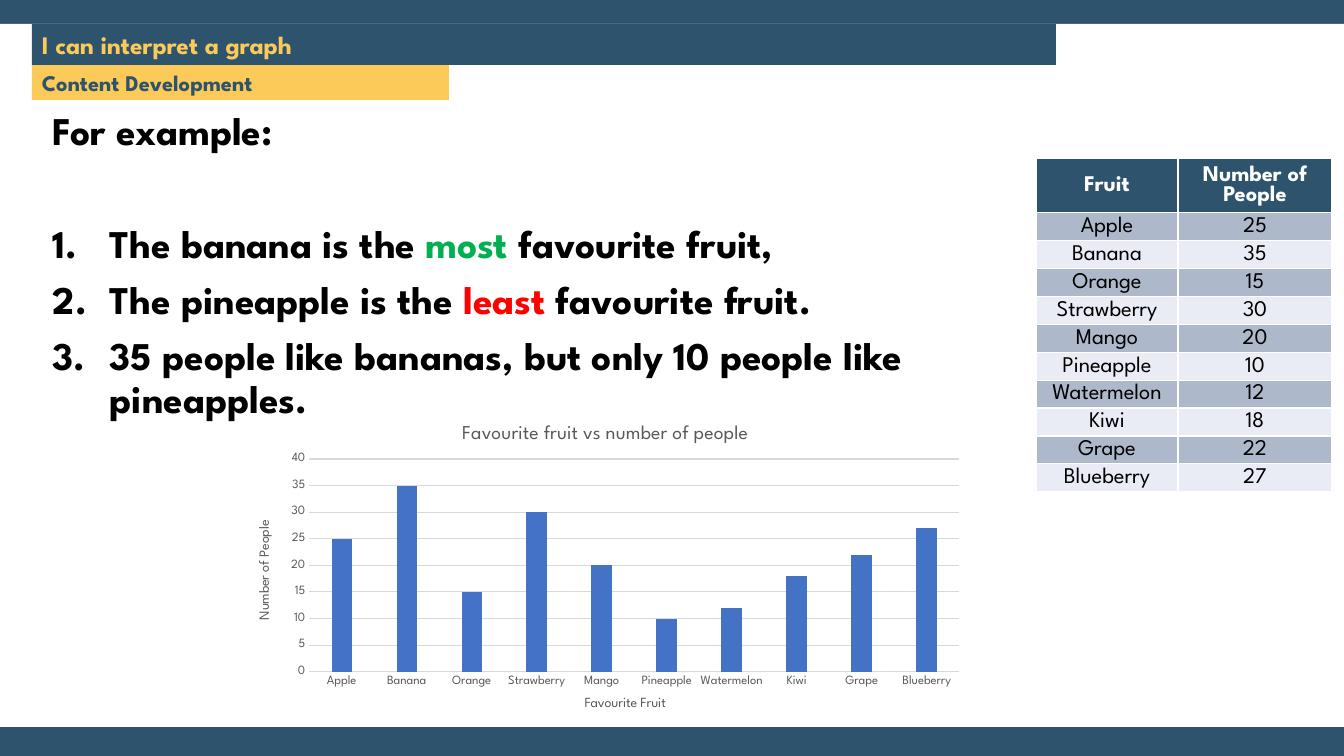
import pptx
import pptx.util
import pptx.chart.data
import pptx.dml.color
import pptx.enum.chart
import pptx.enum.shapes
import pptx.enum.text
import pptx.oxml
import pptx.oxml.ns
from lxml import etree

# Content
FRUIT_COUNTS = [
    ("Apple", 25), ("Banana", 35), ("Orange", 15), ("Strawberry", 30), ("Mango", 20),
    ("Pineapple", 10), ("Watermelon", 12), ("Kiwi", 18), ("Grape", 22), ("Blueberry", 27),
]
TABLE_HEADER = ("Fruit", "Number of People")
LESSON_GOAL = "I can interpret a graph"
LESSON_STAGE = "Content Development"
EXAMPLE_HEADING = "For example:"
CHART_TITLE = "Favourite fruit vs number of people"
FRUIT_AXIS_TITLE = "Favourite Fruit"
PEOPLE_AXIS_TITLE = "Number of People"

FONT = "League Spartan"
NAVY, YELLOW, WHITE, BLACK = "2E546D", "FBCA58", "FFFFFF", "000000"
GREEN, RED, BLUE = "00B050", "FF0000", "4472C4"
GREY_TEXT, GREY_LINE = "595959", "D9D9D9"
BANDS = ("ADB9CA", "E9EBF5")

FINDINGS = [
    [("The banana is the ", BLACK), ("most", GREEN), (" favourite fruit,", BLACK)],
    [("The pineapple is the ", BLACK), ("least", RED), (" favourite fruit.", BLACK)],
    [("35 people like bananas, but only 10 people like pineapples.", BLACK)],
]

# Geometry in px: left, top, width, height
WIDTH, HEIGHT = 1344, 756
PANEL = (0, 24, WIDTH, 703)
STAGE_BOX = (32, 65, 417, 35)
GOAL_BOX = (32, 24, 1024, 41)
EXAMPLE_BOX = (43, 107, 1001, 208)
CHART_BOX = (237, 408, 737, 325)
PLOT_BOX = (309, 459, 650, 213)
TABLE_LEFT, TABLE_TOP = 1036, 158
COLUMN_WIDTHS = (142, 154)
ROW_HEIGHT = 21
LIST_INDENT = 57


def px(length):
    return pptx.util.Emu(round(length * 9144000 / 1008))


def colour(hex_string):
    return pptx.dml.color.RGBColor.from_string(hex_string)


def style_font(font, size, hex_string, bold=False):
    font.name = FONT
    font.size = pptx.util.Pt(size)
    font.bold = bold
    font.color.rgb = colour(hex_string)


def add_bar(slide, box, fill, text="", size=16, text_colour=BLACK):
    shape = slide.shapes.add_shape(pptx.enum.shapes.MSO_SHAPE.RECTANGLE, *map(px, box))
    shape.shadow.inherit = False
    shape.fill.solid()
    shape.fill.fore_color.rgb = colour(fill)
    shape.line.fill.background()
    if text:
        text_frame = shape.text_frame
        text_frame.text = text
        text_frame.vertical_anchor = pptx.enum.text.MSO_ANCHOR.MIDDLE
        paragraph = text_frame.paragraphs[0]
        paragraph.alignment = pptx.enum.text.PP_ALIGN.LEFT
        style_font(paragraph.runs[0].font, size, text_colour, True)


def add_example(slide):
    text_frame = slide.shapes.add_textbox(*map(px, EXAMPLE_BOX)).text_frame
    text_frame.word_wrap = True
    heading = text_frame.paragraphs[0]
    heading.text = EXAMPLE_HEADING
    heading.line_spacing = 0.9
    style_font(heading.runs[0].font, 28, BLACK, True)
    for index, finding in enumerate(FINDINGS):
        paragraph = text_frame.add_paragraph()
        paragraph.line_spacing = 0.9
        paragraph.space_before = pptx.util.Pt(10 if index else 50)
        properties = paragraph._p.get_or_add_pPr()
        properties.set("marL", str(px(LIST_INDENT)))
        properties.set("indent", str(-px(LIST_INDENT)))
        numbering = etree.SubElement(properties, pptx.oxml.ns.qn("a:buAutoNum"))
        numbering.set("type", "arabicPeriod")
        for text, text_colour in finding:
            run = paragraph.add_run()
            run.text = text
            style_font(run.font, 28, text_colour, True)


def style_axis(axis, title):
    axis.has_title = True
    axis.axis_title.text_frame.text = title
    style_font(axis.axis_title.text_frame.paragraphs[0].runs[0].font, 10, GREY_TEXT)
    style_font(axis.tick_labels.font, 9, GREY_TEXT)
    axis.major_tick_mark = pptx.enum.chart.XL_TICK_MARK.NONE
    axis.minor_tick_mark = pptx.enum.chart.XL_TICK_MARK.NONE


def style_grey_line(line):
    line.color.rgb = colour(GREY_LINE)
    line.width = pptx.util.Pt(0.75)


def add_fruit_chart(slide):
    chart_data = pptx.chart.data.CategoryChartData()
    chart_data.categories = [fruit for fruit, _ in FRUIT_COUNTS]
    chart_data.add_series("Series 1", [count for _, count in FRUIT_COUNTS])
    chart = slide.shapes.add_chart(
        pptx.enum.chart.XL_CHART_TYPE.COLUMN_CLUSTERED, *map(px, CHART_BOX), chart_data).chart
    style_font(chart.font, 10, BLACK)
    chart.has_legend = False
    chart.has_title = True
    chart.chart_title.text_frame.text = CHART_TITLE
    style_font(chart.chart_title.text_frame.paragraphs[0].runs[0].font, 14, GREY_TEXT)

    style_axis(chart.category_axis, FRUIT_AXIS_TITLE)
    style_grey_line(chart.category_axis.format.line)
    people_axis = chart.value_axis
    style_axis(people_axis, PEOPLE_AXIS_TITLE)
    people_axis.format.line.fill.background()
    people_axis.minimum_scale, people_axis.maximum_scale, people_axis.major_unit = 0, 40, 5
    style_grey_line(people_axis.major_gridlines.format.line)

    plot = chart.plots[0]
    plot.vary_by_categories = False
    plot.gap_width = 219
    plot.overlap = -27
    plot.series[0].format.fill.solid()
    plot.series[0].format.fill.fore_color.rgb = colour(BLUE)

    # Inner plot area as fractions of the chart
    left, top, width, height = CHART_BOX
    plot_left, plot_top, plot_width, plot_height = PLOT_BOX
    fractions = {"x": (plot_left - left) / width, "y": (plot_top - top) / height,
                 "w": plot_width / width, "h": plot_height / height}
    plot_area = chart._chartSpace.chart.plotArea
    for old_layout in plot_area.findall(pptx.oxml.ns.qn("c:layout")):
        plot_area.remove(old_layout)
    layout = etree.Element(pptx.oxml.ns.qn("c:layout"))
    plot_area.insert(0, layout)
    manual = etree.SubElement(layout, pptx.oxml.ns.qn("c:manualLayout"))
    settings = {"layoutTarget": "inner", "xMode": "edge", "yMode": "edge"}
    settings.update({key: f"{value:.3f}" for key, value in fractions.items()})
    for key, value in settings.items():
        etree.SubElement(manual, pptx.oxml.ns.qn("c:" + key)).set("val", value)


def add_borders(cell):
    properties = cell._tc.get_or_add_tcPr()
    for side in ("lnL", "lnR", "lnT", "lnB"):
        line = etree.SubElement(properties, pptx.oxml.ns.qn("a:" + side))
        line.set("w", str(pptx.util.Pt(1)))
        fill = etree.SubElement(line, pptx.oxml.ns.qn("a:solidFill"))
        etree.SubElement(fill, pptx.oxml.ns.qn("a:srgbClr")).set("val", WHITE)


def add_fruit_table(slide):
    rows = [TABLE_HEADER, *FRUIT_COUNTS]
    table = slide.shapes.add_table(
        len(rows), len(COLUMN_WIDTHS), px(TABLE_LEFT), px(TABLE_TOP),
        px(sum(COLUMN_WIDTHS)), px(ROW_HEIGHT * len(rows))).table
    for column, width in zip(table.columns, COLUMN_WIDTHS):
        column.width = px(width)
    for row_index, values in enumerate(rows):
        table.rows[row_index].height = px(ROW_HEIGHT)
        is_header = row_index == 0
        for column_index, value in enumerate(values):
            cell = table.cell(row_index, column_index)
            add_borders(cell)
            cell.fill.solid()
            cell.fill.fore_color.rgb = colour(NAVY if is_header else BANDS[(row_index - 1) % 2])
            cell.margin_left = cell.margin_right = cell.margin_top = px(1)
            cell.margin_bottom = 0
            cell.vertical_anchor = pptx.enum.text.MSO_ANCHOR.MIDDLE
            cell.text_frame.text = str(value)
            paragraph = cell.text_frame.paragraphs[0]
            paragraph.alignment = pptx.enum.text.PP_ALIGN.CENTER
            style_font(paragraph.runs[0].font, 16, WHITE if is_header else BLACK, is_header)


def main():
    presentation = pptx.Presentation()
    presentation.slide_width, presentation.slide_height = px(WIDTH), px(HEIGHT)
    slide = presentation.slides.add_slide(presentation.slide_layouts[6])
    # Frame and headings
    add_bar(slide, (0, 0, WIDTH, HEIGHT), NAVY)
    add_bar(slide, PANEL, WHITE)
    add_bar(slide, STAGE_BOX, YELLOW, LESSON_STAGE, 16, NAVY)
    # Graph, findings and data
    add_fruit_chart(slide)
    add_bar(slide, GOAL_BOX, NAVY, LESSON_GOAL, 18, YELLOW)
    add_example(slide)
    add_fruit_table(slide)
    presentation.save("out.pptx")


if __name__ == "__main__":
    main()
